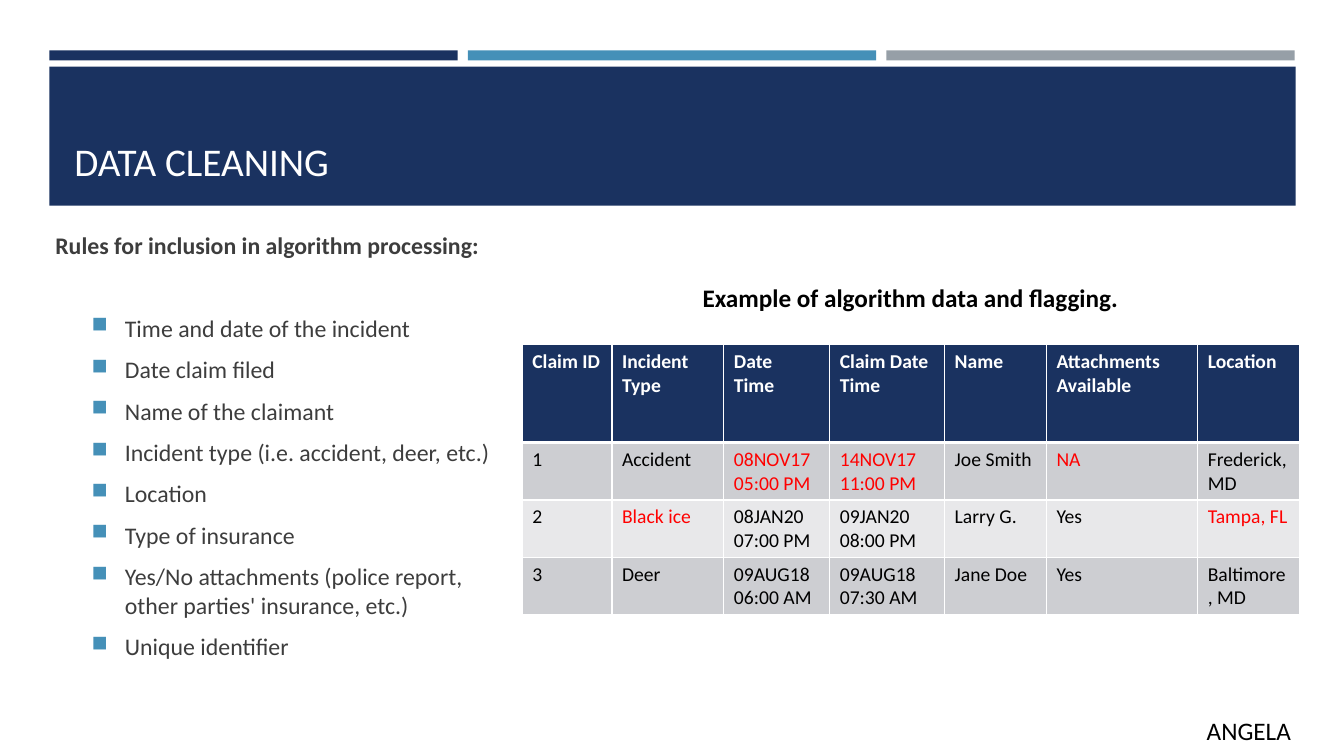
from typing import NamedTuple

from lxml.etree import SubElement
from pptx import Presentation
from pptx.dml.color import RGBColor
from pptx.enum.shapes import MSO_SHAPE
from pptx.enum.text import MSO_ANCHOR, PP_ALIGN
from pptx.oxml.ns import qn
from pptx.slide import Slide
from pptx.table import _Cell
from pptx.text.text import TextFrame, _Paragraph
from pptx.util import Inches, Pt

COLORS = {
    "navy": "1A3260",
    "blue": "4590B8",
    "gray": "969FA7",
    "white": "FFFFFF",
    "black": "000000",
    "body": "3D3D3D",
    "red": "FF0000",
    "band_dark": "CDCED2",
    "band_light": "E8E8EA",
}
FONT = "Calibri"


class Bar(NamedTuple):
    left: float
    top: float
    width: float
    height: float
    color: str


class Entry(NamedTuple):
    text: str
    flagged: bool = False


BARS = [
    Bar(0.49 + 4.15 * index, 0.5, 4.05, 0.1, color)
    for index, color in enumerate(("navy", "blue", "gray"))
] + [Bar(0.49, 0.66, 12.36, 1.38, "navy")]

RULES = [
    "Time and date of the incident",
    "Date claim filed",
    "Name of the claimant",
    "Incident type (i.e. accident, deer, etc.)",
    "Location",
    "Type of insurance",
    "Yes/No attachments (police report, other parties' insurance, etc.)",
    "Unique identifier",
]

HEADERS = [
    Entry("Claim ID"), Entry("Incident Type"), Entry("Date\nTime"), Entry("Claim Date\nTime"),
    Entry("Name"), Entry("Attachments Available"), Entry("Location"),
]
CLAIMS = [
    [Entry("1"), Entry("Accident"), Entry("08NOV17\n05:00 PM", True),
     Entry("14NOV17\n11:00 PM", True), Entry("Joe Smith"), Entry("NA", True),
     Entry("Frederick, MD")],
    [Entry("2"), Entry("Black ice", True), Entry("08JAN20\n07:00 PM"),
     Entry("09JAN20\n08:00 PM"), Entry("Larry G."), Entry("Yes"),
     Entry("Tampa, FL", True)],
    [Entry("3"), Entry("Deer"), Entry("09AUG18\n06:00 AM"),
     Entry("09AUG18\n07:30 AM"), Entry("Jane Doe"), Entry("Yes"),
     Entry("Baltimore, MD")],
]
COLUMN_WIDTHS = [0.89, 1.11, 1.05, 1.14, 1.01, 1.5, 1.01]
ROW_HEIGHTS = [0.97, 0.57, 0.57, 0.57]


def write(frame: TextFrame, text: str, *, size: float, color: str, bold: bool = False,
          align: PP_ALIGN = PP_ALIGN.LEFT, after: float = 0) -> list[_Paragraph]:
    paragraphs = []
    for line in text.split("\n"):
        first = frame.paragraphs[0]
        para = frame.add_paragraph() if first.runs else first
        para.alignment = align
        para.space_before = Pt(0)
        para.space_after = Pt(after)
        span = para.add_run()
        span.text = line
        span.font.name = FONT
        span.font.size = Pt(size)
        span.font.bold = bold
        span.font.color.rgb = RGBColor.from_string(COLORS[color])
        paragraphs.append(para)
    return paragraphs


def add_box(page: Slide, left: float, top: float, width: float, height: float,
            anchor: MSO_ANCHOR = MSO_ANCHOR.TOP) -> TextFrame:
    box = page.shapes.add_textbox(Inches(left), Inches(top), Inches(width), Inches(height))
    frame = box.text_frame
    frame.word_wrap = True
    frame.vertical_anchor = anchor
    return frame


def add_bar(page: Slide, bar: Bar) -> None:
    shape = page.shapes.add_shape(
        MSO_SHAPE.RECTANGLE, Inches(bar.left), Inches(bar.top),
        Inches(bar.width), Inches(bar.height))
    shape.shadow.inherit = False
    shape.fill.solid()
    shape.fill.fore_color.rgb = RGBColor.from_string(COLORS[bar.color])
    shape.line.fill.background()


def set_bullet(para: _Paragraph) -> None:
    properties = para._p.get_or_add_pPr()
    properties.set("marL", str(Inches(0.69)))
    properties.set("indent", str(Inches(-0.33)))
    color = SubElement(properties, qn("a:buClr"))
    SubElement(color, qn("a:srgbClr"), val=COLORS["blue"])
    SubElement(properties, qn("a:buSzPct"), val="92000")
    SubElement(properties, qn("a:buChar"), char="■")


def set_borders(cell: _Cell, bottom: float, top: float) -> None:
    properties = cell._tc.get_or_add_tcPr()
    widths = {"a:lnL": 1, "a:lnR": 1, "a:lnT": top, "a:lnB": bottom}
    for position, (side, width) in enumerate(widths.items()):
        line = SubElement(properties, qn(side), w=str(Pt(width)))
        fill = SubElement(line, qn("a:solidFill"))
        SubElement(fill, qn("a:srgbClr"), val=COLORS["white"])
        properties.insert(position, line)


def add_claims(page: Slide) -> None:
    table = page.shapes.add_table(
        len(ROW_HEIGHTS), len(COLUMN_WIDTHS), Inches(5.18), Inches(3.42),
        Inches(sum(COLUMN_WIDTHS)), Inches(sum(ROW_HEIGHTS))).table
    for column, width in zip(table.columns, COLUMN_WIDTHS):
        column.width = Inches(width)
    for row, height in zip(table.rows, ROW_HEIGHTS):
        row.height = Inches(height)
    for row_index, entries in enumerate([HEADERS, *CLAIMS]):
        header = row_index == 0
        band = "navy" if header else "band_dark" if row_index % 2 else "band_light"
        for column_index, entry in enumerate(entries):
            cell = table.cell(row_index, column_index)
            cell.fill.solid()
            cell.fill.fore_color.rgb = RGBColor.from_string(COLORS[band])
            set_borders(cell, bottom=3 if header else 1, top=3 if row_index == 1 else 1)
            color = "white" if header else "red" if entry.flagged else "black"
            write(cell.text_frame, entry.text, size=14, color=color, bold=header)


def main() -> None:
    deck = Presentation()
    deck.slide_width = Inches(13.33)
    deck.slide_height = Inches(7.5)
    page = deck.slides.add_slide(deck.slide_layouts[6])

    for bar in BARS:
        add_bar(page, bar)
    title = add_box(page, 0.64, 0.8, 12.06, 1.08, MSO_ANCHOR.BOTTOM)
    write(title, "DATA CLEANING", size=28, color="white")

    rules = add_box(page, 0.45, 2.24, 4.55, 4.75)
    write(rules, "Rules for inclusion in algorithm processing:",
          size=17, color="body", bold=True, after=38.6)
    for para in write(rules, "\n".join(RULES), size=17, color="body", after=9.2):
        set_bullet(para)

    caption = add_box(page, 5.18, 2.75, 7.7, 0.4)
    write(caption, "Example of algorithm data and flagging.", size=18, color="black",
          bold=True, align=PP_ALIGN.CENTER)
    add_claims(page)
    presenter = add_box(page, 11.87, 7.05, 1.4, 0.4)
    write(presenter, "ANGELA", size=18, color="black")

    deck.save("out.pptx")


if __name__ == "__main__":
    main()
